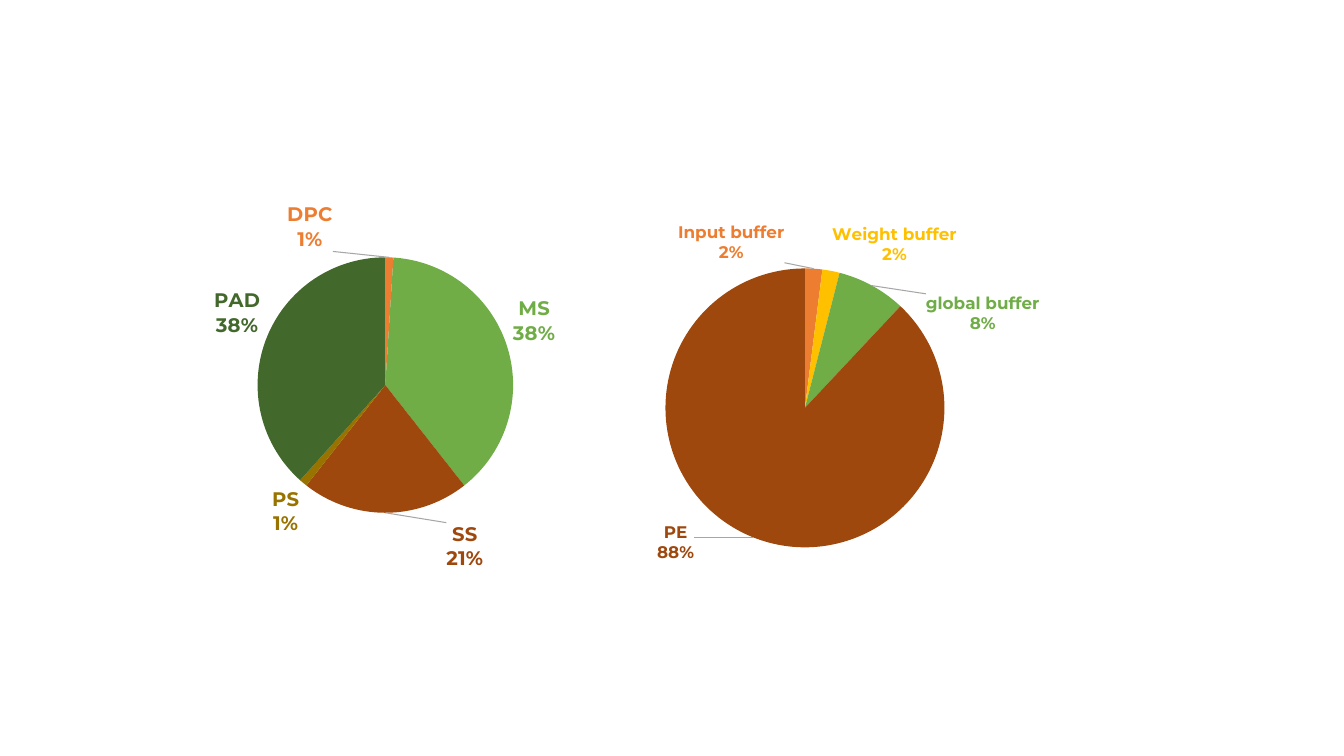
from dataclasses import dataclass

from lxml.etree import _Element
from pptx import Presentation
from pptx.chart.chart import Chart
from pptx.chart.data import CategoryChartData
from pptx.dml.color import RGBColor
from pptx.enum.chart import XL_CHART_TYPE, XL_LABEL_POSITION
from pptx.oxml import parse_xml
from pptx.oxml.ns import nsdecls, qn
from pptx.slide import Slide
from pptx.util import Inches, Pt

SLIDE_WIDTH, SLIDE_HEIGHT = Inches(13.33), Inches(7.5)
FONT = "Montserrat"
LEADER_GREY = "A6A6A6"


@dataclass(frozen=True)
class Slice:
    name: str
    percent: int
    color: str
    label_shift: tuple[float, float] = (0, 0)  # shares of the chart's size


@dataclass(frozen=True)
class Pie:
    frame: tuple[float, float, float, float]  # left, top, width, height in % of the slide
    plot: tuple[float, float, float, float]  # the same, as shares of the chart
    font_size: int
    label_size: int
    slices: tuple[Slice, ...]


PIES = (
    Pie((3.75, 25.2, 49.36, 52), (0.31, 0.17, 0.39, 0.65), 14, 14, (
        Slice("DPC", 1, "ED7D31", (-0.12, 0)),
        Slice("FS", 0, "FFC000", (0.1, 0)),
        Slice("MS", 38, "70AD47"),
        Slice("SS", 21, "9E480E", (0.12, 0.01)),
        Slice("PS", 1, "997300"),
        Slice("PAD", 38, "43682B"),
    )),
    Pie((38.56, 25.2, 47.41, 54.27), (0.23, 0.19, 0.44, 0.68), 20, 12, (
        Slice("Input buffer", 2, "ED7D31", (-0.13, 0)),
        Slice("Weight buffer", 2, "FFC000"),
        Slice("global buffer", 8, "70AD47", (0.08, 0.13)),
        Slice("PE", 88, "9E480E", (-0.09, -0.05)),
    )),
)


def rgb(color: str) -> RGBColor:
    return RGBColor.from_string(color)


def make_layout(values: dict[str, float | str]) -> _Element:
    entries = "".join(f'<c:{key} val="{value}"/>' for key, value in values.items())
    return parse_xml(f'<c:layout {nsdecls("c")}><c:manualLayout>{entries}</c:manualLayout></c:layout>')


def place_plot(chart: Chart, pie: Pie) -> None:
    plot_area = chart._chartSpace.find(".//" + qn("c:plotArea"))
    for layout in plot_area.findall(qn("c:layout")):
        plot_area.remove(layout)
    modes = {"layoutTarget": "inner", "xMode": "edge", "yMode": "edge"}
    plot_area.insert(0, make_layout(modes | dict(zip("xywh", pie.plot))))


def style_labels(chart: Chart, pie: Pie) -> None:
    series = chart.plots[0].series[0]
    for index, part in enumerate(pie.slices):
        point = series.points[index]
        point.format.fill.solid()
        point.format.fill.fore_color.rgb = rgb(part.color)
        font = point.data_label.font
        font.name, font.size, font.bold = FONT, Pt(pie.label_size), True
        font.color.rgb = rgb(part.color)
        point.data_label.position = XL_LABEL_POSITION.OUTSIDE_END

    # Defaults for all labels
    labels = series.data_labels
    labels.show_value = False
    labels.show_category_name = labels.show_percentage = True
    labels.position = XL_LABEL_POSITION.OUTSIDE_END

    # Content and shift of each label
    label_list = series._element.find(qn("c:dLbls"))
    for part, label in zip(pie.slices, label_list.findall(qn("c:dLbl"))):
        label.find(qn("c:showVal")).set("val", "0")
        for flag in ("c:showCatName", "c:showPercent"):
            label.find(qn(flag)).set("val", "1")
        label.append(parse_xml(f'<c:separator {nsdecls("c")}>\n</c:separator>'))
        if any(part.label_shift):
            label.find(qn("c:idx")).addnext(make_layout(dict(zip("xy", part.label_shift))))

    # Leader lines
    for old in label_list.findall(qn("c:showLeaderLines")):
        label_list.remove(old)
    label_list.append(parse_xml(f'<c:showLeaderLines {nsdecls("c")} val="1"/>'))
    label_list.append(parse_xml(
        f'<c:leaderLines {nsdecls("c", "a")}><c:spPr><a:ln w="9525"><a:solidFill>'
        f'<a:srgbClr val="{LEADER_GREY}"/></a:solidFill></a:ln></c:spPr></c:leaderLines>'))


def draw_pie(slide: Slide, pie: Pie) -> None:
    data = CategoryChartData()
    data.categories = [part.name for part in pie.slices]
    data.add_series("Series 1", [part.percent for part in pie.slices])
    sides = (SLIDE_WIDTH, SLIDE_HEIGHT) * 2
    frame = [round(side * share / 100) for side, share in zip(sides, pie.frame)]
    chart = slide.shapes.add_chart(XL_CHART_TYPE.PIE, *frame, data).chart
    chart.has_legend = chart.has_title = False
    chart.font.name, chart.font.size = FONT, Pt(pie.font_size)
    chart.font.color.rgb = rgb("000000")
    chart.plots[0].vary_by_categories = True
    place_plot(chart, pie)
    style_labels(chart, pie)


def main() -> None:
    presentation = Presentation()
    presentation.slide_width, presentation.slide_height = SLIDE_WIDTH, SLIDE_HEIGHT
    slide = presentation.slides.add_slide(presentation.slide_layouts[6])
    for pie in PIES:
        draw_pie(slide, pie)
    presentation.save("out.pptx")


if __name__ == "__main__":
    main()
